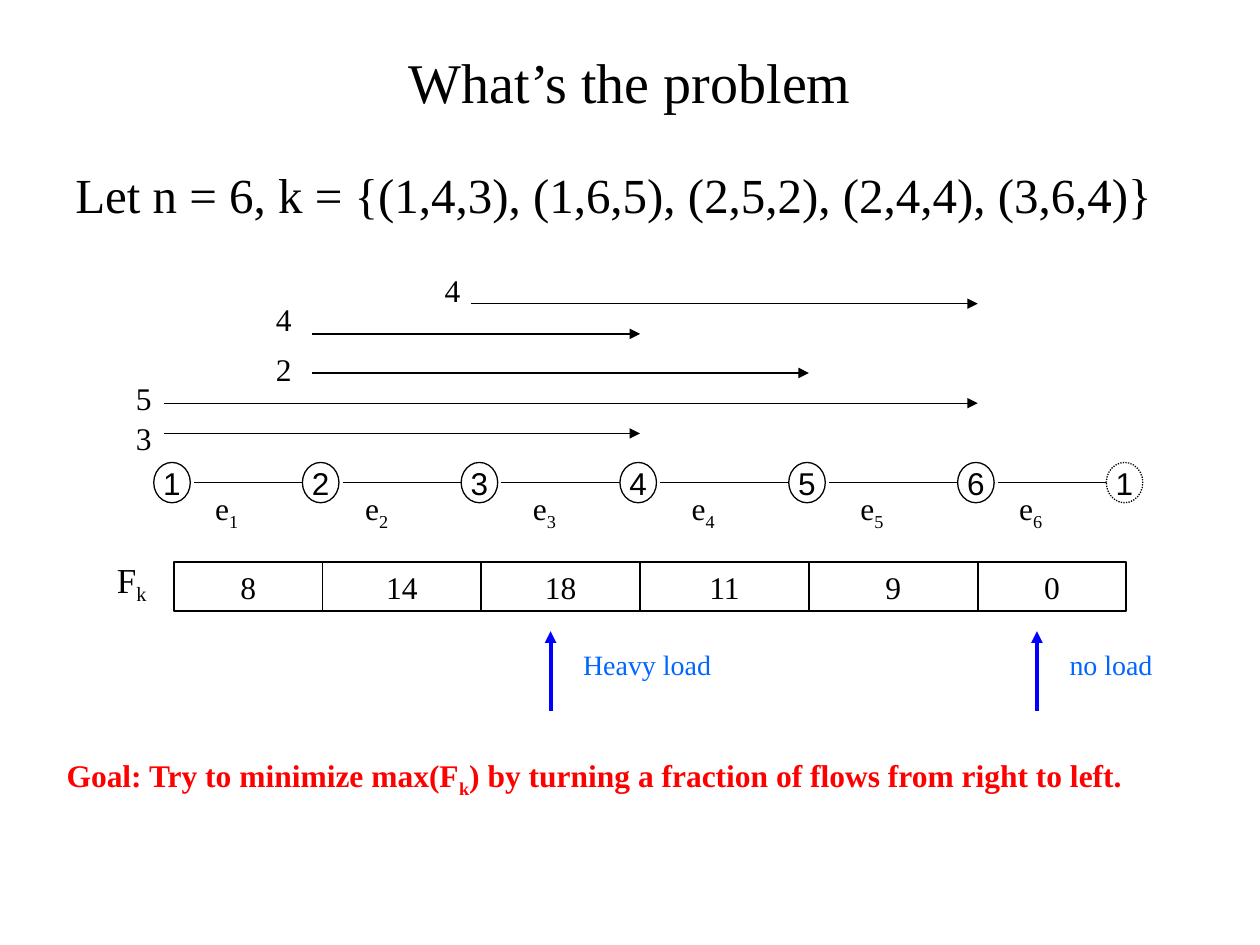
from lxml import etree
from pptx import Presentation
from pptx.dml.color import RGBColor
from pptx.enum.dml import MSO_LINE
from pptx.enum.shapes import MSO_CONNECTOR, MSO_SHAPE
from pptx.enum.text import MSO_ANCHOR, MSO_AUTO_SIZE, PP_ALIGN
from pptx.oxml.ns import qn
from pptx.util import Inches, Pt

STRAIGHT = MSO_CONNECTOR.STRAIGHT
OVAL, RECTANGLE = MSO_SHAPE.OVAL, MSO_SHAPE.RECTANGLE
MIDDLE, CENTER, LEFT = MSO_ANCHOR.MIDDLE, PP_ALIGN.CENTER, PP_ALIGN.LEFT
FIT_SHAPE, NO_FIT = MSO_AUTO_SIZE.SHAPE_TO_FIT_TEXT, MSO_AUTO_SIZE.NONE
DOTTED = MSO_LINE.ROUND_DOT

COLORS = {"black": "000000", "white": "FFFFFF", "blue": "0000FF",
          "label": "0066FF", "goal": "FF0000"}
SERIF, SANS = "Times New Roman", "Arial"

TITLE = "What’s the problem"
PREMISE = "Let n = 6, k = {(1,4,3), (1,6,5), (2,5,2), (2,4,4), (3,6,4)}"
GOAL = ("Goal: Try to minimize max(F", "k",
        ") by turning a fraction of flows from right to left.")
NODES = ["1", "2", "3", "4", "5", "6", "1"]
NODE_X = [1.38, 2.56, 3.82, 5.08, 6.42, 7.76, 8.94]
LOADS = [8, 14, 18, 11, 9, 0]
EDGE_LABEL_X = [1.61, 2.8, 4.13, 5.39, 6.73, 7.99]
FLOWS = [
    (1, 4, "3", 3.44, 0.98, 3.28),
    (1, 6, "5", 3.2, 0.98, 2.96),
    (2, 5, "2", 2.96, 2.09, 2.73),
    (2, 4, "4", 2.65, 2.09, 2.33),
    (3, 6, "4", 2.41, 3.43, 2.1),
]
REMARKS = [(4.37, "Heavy load"), (8.23, "no load")]
NODE_WIDTH, NODE_HEIGHT, NODE_TOP = 0.29, 0.32, 3.67
EDGE_Y, NODE_GAP = 3.83, 0.16
LOAD_TOP, LOAD_HEIGHT = 4.46, 0.39


def color(name):
    return RGBColor.from_string(COLORS[name])


def write(frame, parts, size, font=SERIF, ink="black", bold=False, align=LEFT):
    para = frame.paragraphs[0]
    para.alignment = align
    para.font.name = font
    para.font.size = Pt(size)
    para.font.bold = bold
    para.font.color.rgb = color(ink)
    for index, text in enumerate(parts):
        span = para.add_run()
        span.text = text
        if index % 2:
            span.font._element.set("baseline", "-25000")
    return para


def add_text(slide, place, parts, size, **style):
    box = slide.shapes.add_textbox(*map(Inches, place))
    box.text_frame.word_wrap = True
    box.text_frame.auto_size = FIT_SHAPE
    return write(box.text_frame, parts, size, **style)


def add_cell(slide, kind, place, text, font, width):
    cell = slide.shapes.add_shape(kind, *map(Inches, place))
    cell.shadow.inherit = False
    cell.fill.solid()
    cell.fill.fore_color.rgb = color("white")
    cell.line.color.rgb = color("black")
    cell.line.width = Pt(width)
    cell.text_frame.word_wrap = False
    cell.text_frame.vertical_anchor = MIDDLE
    write(cell.text_frame, [text], 18, font=font, align=CENTER)
    return cell


def add_line(slide, start, end, ink="black", width=0.75, arrow=False):
    line = slide.shapes.add_connector(STRAIGHT, *map(Inches, start + end))
    line.line.color.rgb = color(ink)
    line.line.width = Pt(width)
    if arrow:
        etree.SubElement(line.line._get_or_add_ln(), qn("a:tailEnd"), type="triangle")
    etree.SubElement(line._element.spPr, qn("a:effectLst"))


def add_heading(slide):
    title = slide.shapes.title
    title.left, title.top, title.width, title.height = map(Inches, (0.5, 0.3, 9, 0.69))
    title.text_frame.auto_size = NO_FIT
    title.text_frame.vertical_anchor = MIDDLE
    write(title.text_frame, [TITLE], 32, align=CENTER)
    premise = add_text(slide, (0.5, 1.31, 9, 0.55), [PREMISE], 28)
    premise.line_spacing = 0.9


def add_network(slide):
    for first, last, amount, y, label_x, label_y in FLOWS:
        add_line(slide, (NODE_X[first - 1] - 0.08, y), (NODE_X[last - 1], y), arrow=True)
        add_text(slide, (label_x, label_y, 0.31, 0.4), [amount], 18)
    for number, (x, following) in enumerate(zip(NODE_X, NODE_X[1:]), 1):
        add_line(slide, (x + NODE_GAP, EDGE_Y), (following - NODE_GAP, EDGE_Y))
        add_text(slide, (EDGE_LABEL_X[number - 1], EDGE_Y, 0.55, 0.44),
                 ["e", str(number)], 18)
    for name, x in zip(NODES, NODE_X):
        place = (x - NODE_GAP, NODE_TOP, NODE_WIDTH, NODE_HEIGHT)
        node = add_cell(slide, OVAL, place, name, SANS, 0.75)
    node.line.dash_style = DOTTED


def add_loads(slide):
    add_text(slide, (0.83, 4.38, 0.47, 0.48), ["F", "k"], 20)
    for load, x, following in zip(LOADS, NODE_X, NODE_X[1:]):
        place = (x, LOAD_TOP, following - x, LOAD_HEIGHT)
        add_cell(slide, RECTANGLE, place, str(load), SERIF, 1)
    for x, remark in REMARKS:
        add_line(slide, (x, 5.64), (x, 5.01), ink="blue", width=2.25, arrow=True)
        add_text(slide, (x + 0.16, 5.09, 1.26, 0.37), [remark], 16, ink="label")


def main():
    deck = Presentation()
    deck.slide_width, deck.slide_height = Inches(10), Inches(7.5)
    slide = deck.slides.add_slide(deck.slide_layouts[5])
    add_heading(slide)
    add_network(slide)
    add_loads(slide)
    add_text(slide, (0.43, 5.95, 9.21, 0.44), GOAL, 18, ink="goal", bold=True)
    deck.save("out.pptx")


if __name__ == "__main__":
    main()
